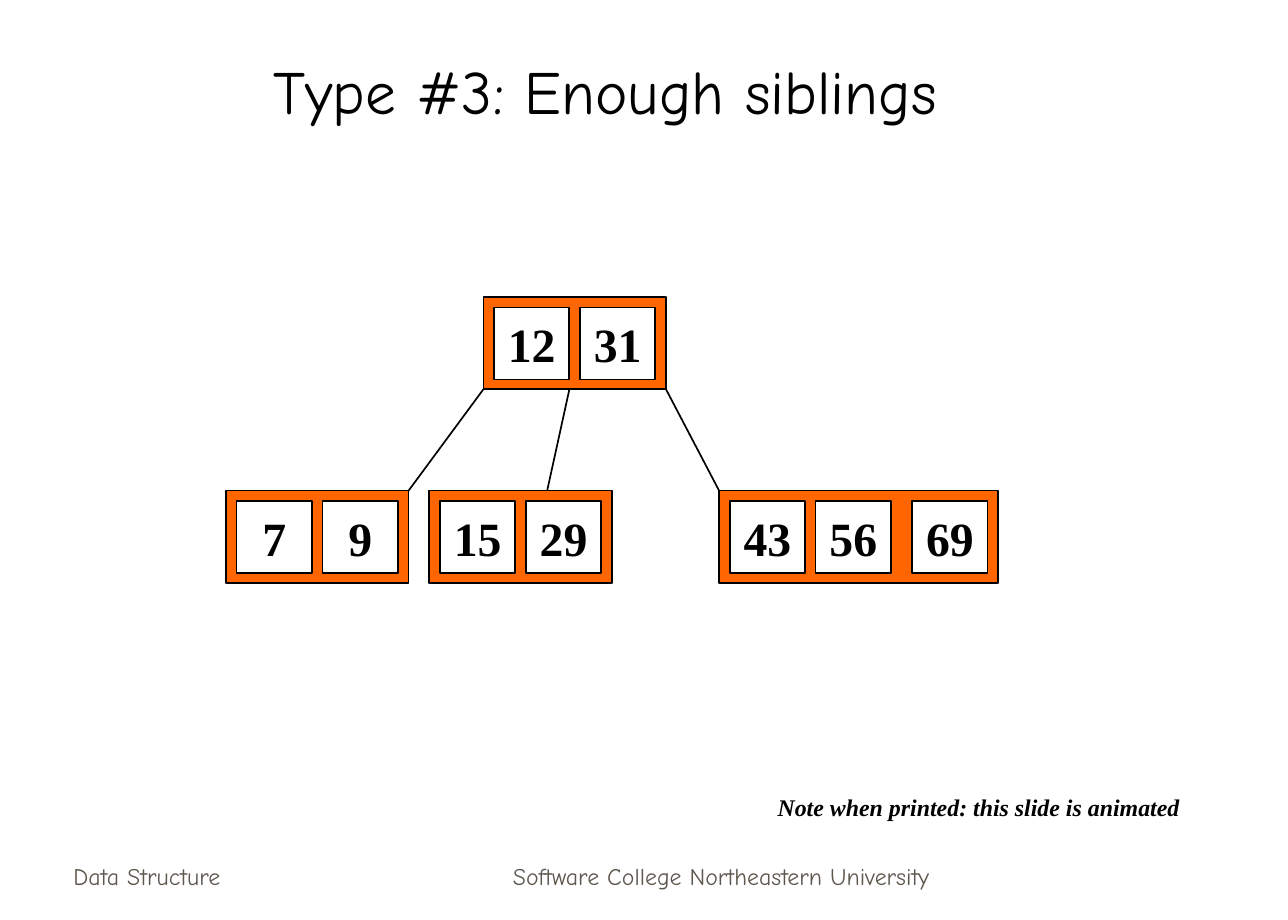
import pptx
import pptx.util
import pptx.dml.color
import pptx.enum.shapes
import pptx.enum.text
import pptx.oxml

Cm = pptx.util.Cm
Pt = pptx.util.Pt
ALIGN = pptx.enum.text.PP_ALIGN
ANCHOR = pptx.enum.text.MSO_ANCHOR
RECTANGLE = pptx.enum.shapes.MSO_SHAPE.RECTANGLE
STRAIGHT = pptx.enum.shapes.MSO_CONNECTOR.STRAIGHT
EFFECTS = '<a:effectLst xmlns:a="http://schemas.openxmlformats.org/drawingml/2006/main"/>'


def color(value):
    return pptx.dml.color.RGBColor.from_string(value)


def write(box, text, anchor, align, wrap, ink, font):
    frame = box.text_frame
    frame.auto_size = pptx.enum.text.MSO_AUTO_SIZE.NONE
    frame.word_wrap = wrap
    frame.vertical_anchor = anchor
    para = frame.paragraphs[0]
    para.alignment = align
    span = para.add_run()
    span.text = text
    span.font.color.rgb = color(ink)
    for name, value in font.items():
        setattr(span.font, name, value)


title_font = {"name": "Comic Neue", "size": Pt(36)}
footer_font = {"name": "Comic Neue", "size": Pt(14)}
key_font = {"name": "Times New Roman", "size": Pt(28), "bold": True}
note_font = {"name": "Times New Roman", "size": Pt(14), "bold": True, "italic": True}

deck = pptx.Presentation()
deck.slide_width = Cm(26.67)
deck.slide_height = Cm(19.05)
page = deck.slides.add_slide(deck.slide_layouts[5])

title = page.shapes.title
title.left, title.top, title.width, title.height = Cm(1.19), Cm(0.64), Cm(22.68), Cm(2.11)
write(title, "Type #3: Enough siblings", ANCHOR.BOTTOM, ALIGN.CENTER, True, "000000", title_font)

margin = 0.22
key_width, key_height = 1.56, 1.49
node_height = 1.91
key_offsets = [margin, 2, 4]
pair_width = key_offsets[1] + key_width + margin
root_left, root_top, leaf_top = 10.01, 6.15, 10.16
left_leaf, middle_leaf, right_leaf = 4.68, 8.89, 14.89

nodes = [
    (root_left, root_top, ["12", "31"]),
    (left_leaf, leaf_top, ["7", "9"]),
    (middle_leaf, leaf_top, ["15", "29"]),
    (right_leaf, leaf_top, ["43", "56", "69"]),
]
for left, top, keys in nodes:
    node_width = key_offsets[len(keys) - 1] + key_width + margin
    parts = [(left, top, node_width, node_height, "FF6600", "")]
    for offset, key in zip(key_offsets, keys):
        parts.append((left + offset, top + margin, key_width, key_height, "FFFFFF", key))
    for x, y, width, height, fill, text in parts:
        box = page.shapes.add_shape(RECTANGLE, Cm(x), Cm(y), Cm(width), Cm(height))
        box.shadow.inherit = False
        box.fill.solid()
        box.fill.fore_color.rgb = color(fill)
        box.line.color.rgb = color("000000")
        box.line.width = Pt(1)
        if text:
            write(box, text, ANCHOR.MIDDLE, ALIGN.CENTER, False, "000000", key_font)

branches = [
    (root_left, left_leaf + pair_width),
    (root_left + 1.78, 11.33),
    (root_left + pair_width, right_leaf),
]
for start, end in branches:
    branch = page.shapes.add_connector(
        STRAIGHT, Cm(start), Cm(root_top + node_height), Cm(end), Cm(leaf_top)
    )
    branch.line.color.rgb = color("000000")
    branch.line.width = Pt(1)
    branch.element.spPr.append(pptx.oxml.parse_xml(EFFECTS))

labels = [
    ("Data Structure", 1.27, 17.3, 5.56, 1.27, ANCHOR.BOTTOM, ALIGN.LEFT, True, "5E574E", footer_font),
    ("Software College Northeastern University", 9.12, 17.3, 11.63, 1.27,
     ANCHOR.BOTTOM, ALIGN.CENTER, True, "5E574E", footer_font),
    ("Note when printed: this slide is animated", 15.85, 16.28, 8.84, 0.86,
     ANCHOR.MIDDLE, ALIGN.CENTER, False, "000000", note_font),
]
for text, left, top, width, height, anchor, align, wrap, ink, font in labels:
    box = page.shapes.add_textbox(Cm(left), Cm(top), Cm(width), Cm(height))
    write(box, text, anchor, align, wrap, ink, font)

deck.save("out.pptx")
